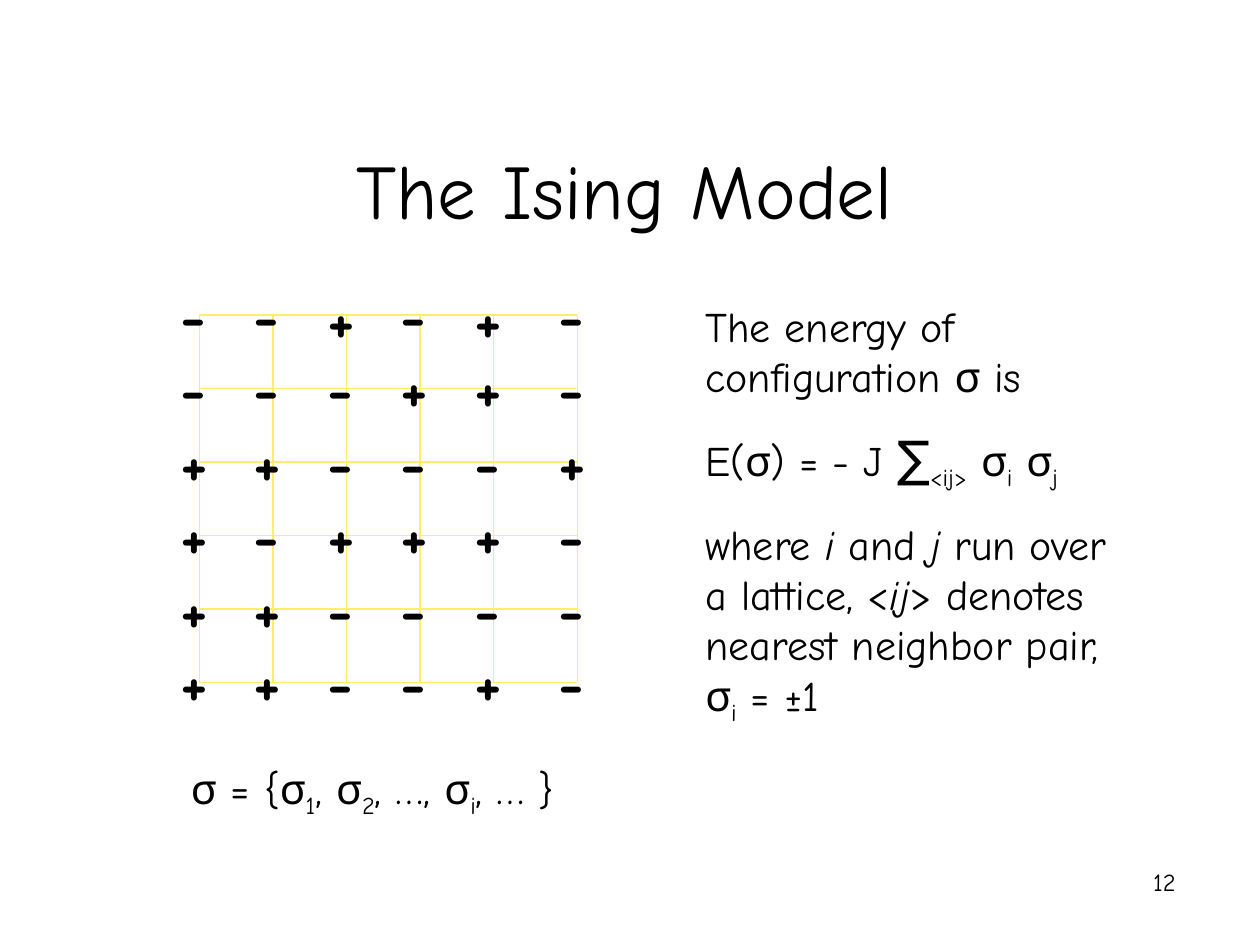
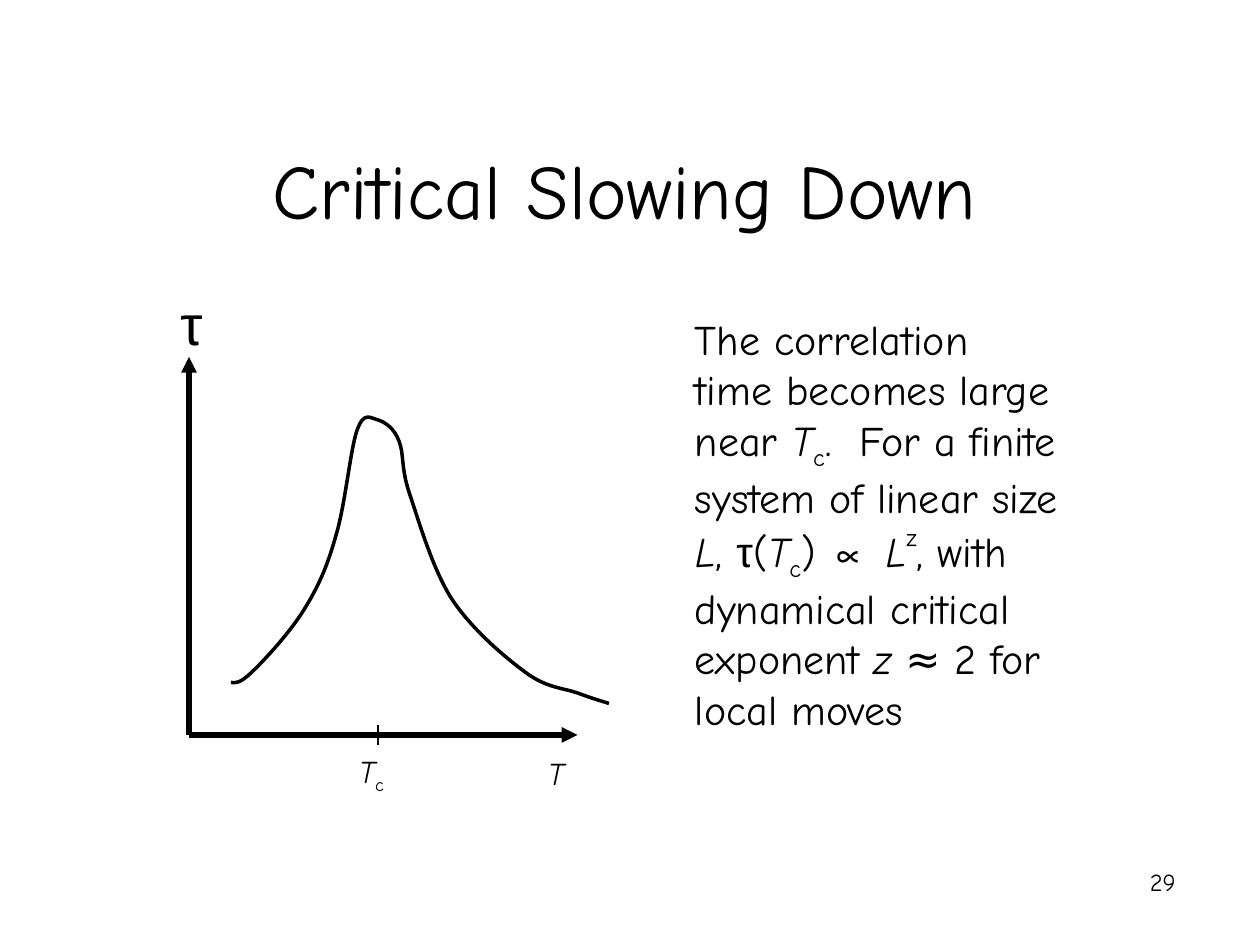
"""Build two slides on the Ising model and critical slowing down."""
from lxml.etree import SubElement
from pptx import Presentation
from pptx.dml.color import RGBColor
from pptx.enum.shapes import MSO_CONNECTOR as Connector
from pptx.enum.text import MSO_ANCHOR as Anchor, MSO_AUTO_SIZE as AutoSize, PP_ALIGN as Align
from pptx.oxml.ns import qn
from pptx.util import Pt

COLOURS = {"ink": "000000", "lattice": "FFEF66"}
FONT = "Comic Neue"
SYMBOL_FONT = "Arial"
BASELINES = {"sub": "-25000", "super": "50000"}

COLUMNS = [114, 156, 198, 240, 282, 330]
ROWS = [180 + 42 * row for row in range(6)]
SPINS = ["--+-+-", "---++-", "++---+", "+-+++-", "++----", "++--+-"]

ENERGY = [
    [("The energy of configuration σ is", "")],
    [("E(σ) = - J ", ""), ("∑", "large"), ("<ij>", "sub"), (" σ", ""),
     ("i", "sub"), (" σ", ""), ("j", "sub")],
    [("where ", ""), ("i", "italic"), (" and ", ""), ("j", "italic"),
     (" run over a lattice, <", ""), ("ij", "italic"),
     ("> denotes nearest neighbor pair, σ", ""), ("i", "sub"), (" = ±1", "")],
]
CONFIGURATION = [[
    ("σ = {σ", ""), ("1", "sub"), (", σ", ""), ("2", "sub"),
    (", …, σ", ""), ("i", "sub"), (", … }", ""),
]]
CRITICAL_TEMPERATURE = [("T", "italic"), ("c", "sub")]
CORRELATION = [[
    ("The correlation time becomes large near ", ""), *CRITICAL_TEMPERATURE,
    (".  For a finite system of linear size ", ""), ("L", "italic"), (", ", ""),
    ("τ", "symbol"), ("(", ""), *CRITICAL_TEMPERATURE, (") ", ""),
    ("∝", "symbol"), (" L", "italic"), ("z", "super"),
    (", with dynamical critical exponent ", ""), ("z", "italic"),
    (" ≈ 2 for local moves", ""),
]]

CURVE_START = (132, 390)
CURVE = [
    [(134.6, 390.2), (136.8, 391), (144, 384)],
    [(151.2, 377.3), (166.3, 360.7), (174, 348)],
    [(182.2, 334.8), (187.2, 323.3), (192, 306)],
    [(197.3, 288.7), (200.2, 257), (204, 246)],
    [(208, 234.7), (211.7, 239), (216, 240)],
    [(220, 241.2), (225.4, 244.8), (228, 252)],
    [(231, 259.2), (229, 267), (234, 282)],
    [(239, 296.6), (247, 324.7), (258, 342)],
    [(269.3, 359.3), (288, 375.1), (300, 384)],
    [(312, 393.1), (321.8, 393.1), (330, 396)],
    [(337.7, 398.9), (342.7, 400.3), (348, 402)],
]


def colour(name):
    """Return a named colour."""
    return RGBColor.from_string(COLOURS[name])


def add_run(paragraph, text, style, size, bold):
    """Append one run in the given style."""
    run = paragraph.add_run()
    run.text = text
    font = run.font
    font.name = SYMBOL_FONT if style == "symbol" else FONT
    font.size = Pt(28 if style == "large" else size)
    font.bold = bold
    font.italic = style == "italic"
    font.color.rgb = colour("ink")
    if style in BASELINES:
        run._r.get_or_add_rPr().set("baseline", BASELINES[style])


def add_text(slide, box, paragraphs, size, bold=False, align=Align.LEFT,
             anchor=Anchor.TOP, grow=True):
    """Add a wrapped text box with styled paragraphs."""
    frame = slide.shapes.add_textbox(*map(Pt, box)).text_frame
    frame.word_wrap = True
    frame.auto_size = AutoSize.SHAPE_TO_FIT_TEXT if grow else AutoSize.NONE
    frame.vertical_anchor = anchor
    for index, runs in enumerate(paragraphs):
        paragraph = frame.add_paragraph() if index else frame.paragraphs[0]
        paragraph.alignment = align
        paragraph.space_before = Pt(15 if index else 0)
        for text, style in runs:
            add_run(paragraph, text, style, size, bold)


def add_line(slide, start, end, width, name="ink", arrow=False):
    """Add a straight line, optionally ending in an arrowhead."""
    connector = slide.shapes.add_connector(Connector.STRAIGHT, *map(Pt, start + end))
    connector.line.color.rgb = colour(name)
    connector.line.width = Pt(width)
    outline = connector.line._get_or_add_ln()
    SubElement(outline, qn("a:round"))
    if arrow:
        SubElement(outline, qn("a:tailEnd"), type="triangle")
    SubElement(connector._element.spPr, qn("a:effectLst"))


def add_curve(slide, start, segments, width):
    """Add an open chain of cubic Bézier segments without fill."""
    builder = slide.shapes.build_freeform(*map(Pt, start))
    corners = [(Pt(x), Pt(y)) for segment in segments for x, y in segment]
    builder.add_line_segments(corners, close=False)
    shape = builder.convert_to_shape()
    outline = shape._element.find(".//" + qn("a:path"))
    steps = outline.findall(qn("a:lnTo"))
    for first in range(0, len(steps), 3):
        bezier = SubElement(outline, qn("a:cubicBezTo"))
        for step in steps[first:first + 3]:
            bezier.append(step[0])
            outline.remove(step)
    shape.shadow.inherit = False
    shape.fill.background()
    shape.line.color.rgb = colour("ink")
    shape.line.width = Pt(width)


def add_slide(presentation, title, number):
    """Add a blank slide with its title and slide number."""
    slide = presentation.slides.add_slide(presentation.slide_layouts[6])
    add_text(slide, (54, 12, 606, 126), [[(title, "")]], 44,
             align=Align.CENTER, anchor=Anchor.BOTTOM, grow=False)
    add_text(slide, (529, 492, 150, 36), [[(number, "")]], 14,
             align=Align.RIGHT, grow=False)
    return slide


def add_lattice(slide):
    """Draw the lattice lines and the spin at each site."""
    for x in COLUMNS:
        add_line(slide, (x, ROWS[0]), (x, ROWS[-1]), 0.75, "lattice")
    for y in ROWS:
        add_line(slide, (COLUMNS[0], y), (COLUMNS[-1], y), 0.75, "lattice")
    for y, spins in zip(ROWS, SPINS):
        for x, spin in zip(COLUMNS, spins):
            rise = 24 if spin == "+" and y == ROWS[0] else 26.3
            add_text(slide, (x - 18, y - rise, 30, 50.4), [[(spin, "")]], 36, bold=True)


def add_correlation_plot(slide):
    """Draw correlation time against temperature."""
    origin = (108, 420)
    add_line(slide, origin, (330, 420), 3, arrow=True)
    add_line(slide, origin, (108, 204), 3, arrow=True)
    add_curve(slide, CURVE_START, CURVE, 2)
    add_line(slide, (216, 414), (216, 426), 0.75)
    add_text(slide, (198, 426, 42, 31.7), [CRITICAL_TEMPERATURE], 18)
    add_text(slide, (306, 427.3, 42, 28.8), [[("T", "italic")]], 18)
    add_text(slide, (96, 162, 60, 46), [[("τ", "symbol")]], 32)


def main():
    """Build and save the presentation."""
    presentation = Presentation()
    presentation.slide_width, presentation.slide_height = Pt(720), Pt(540)

    slide = add_slide(presentation, "The Ising Model", "12")
    add_lattice(slide)
    add_text(slide, (396, 168.1, 258, 251), ENERGY, 24)
    add_text(slide, (102, 432, 228, 40), CONFIGURATION, 24)

    slide = add_slide(presentation, "Critical Slowing Down", "29")
    add_correlation_plot(slide)
    add_text(slide, (390, 175.5, 222, 276.5), CORRELATION, 24)

    presentation.save("out.pptx")


if __name__ == "__main__":
    main()
